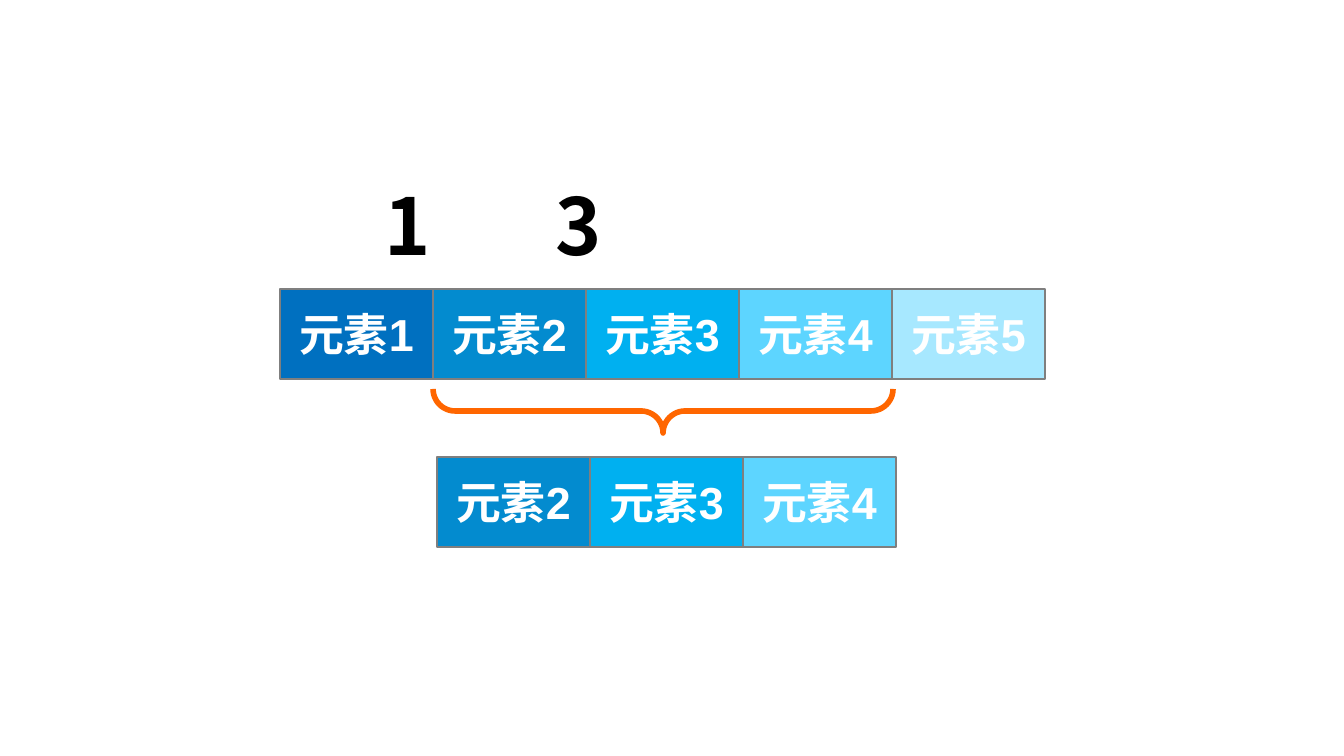
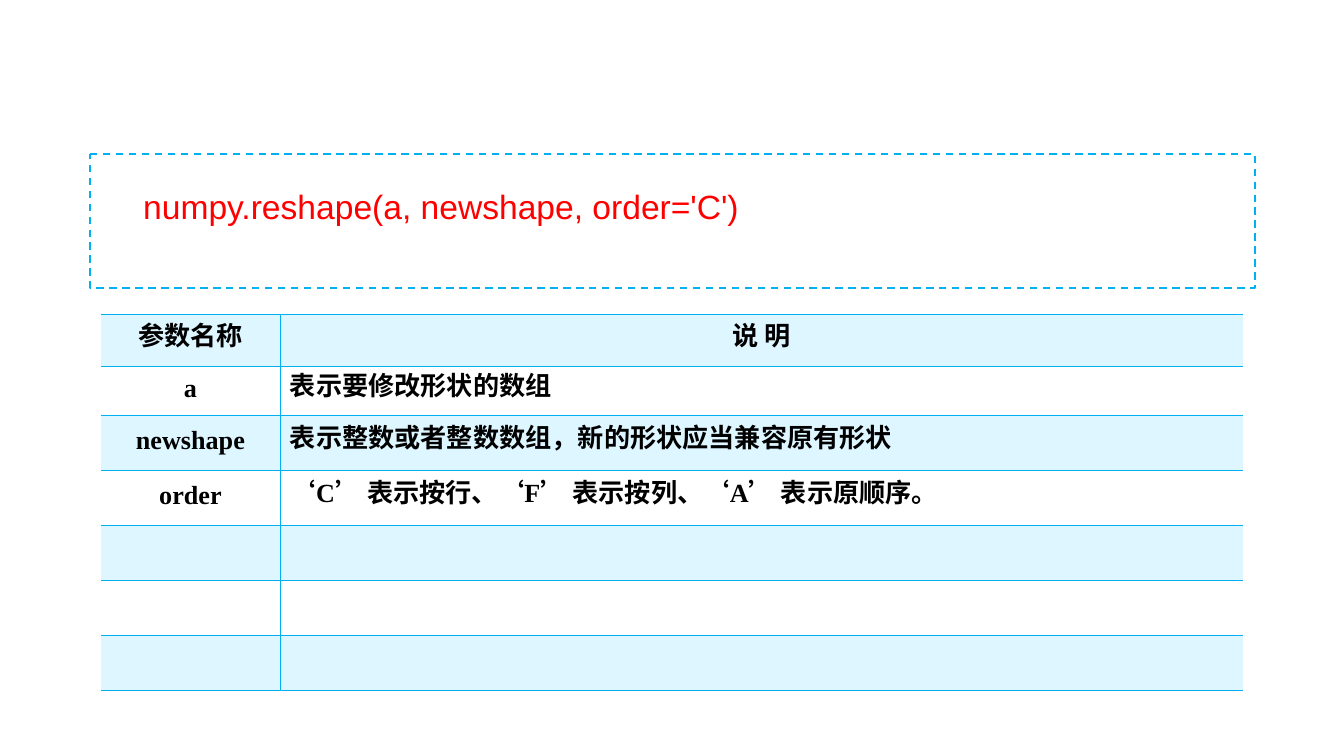
import dataclasses

import lxml.etree
import pptx
import pptx.dml.color
import pptx.enum.dml
import pptx.enum.lang
import pptx.enum.shapes
import pptx.enum.text
import pptx.oxml.ns
import pptx.util

EMU_PER_PX = 914400 / 134.4
SHAPE = pptx.enum.shapes.MSO_SHAPE
ALIGN = pptx.enum.text.PP_ALIGN
MIDDLE = pptx.enum.text.MSO_ANCHOR.MIDDLE


@dataclasses.dataclass(frozen=True)
class Theme:
    latin: str = "Arial"
    serif: str = "Times New Roman"
    chinese: str = "Noto Sans CJK SC"
    black: str = "000000"
    white: str = "FFFFFF"
    code: str = "FF0000"
    accent: str = "00B0F0"
    band: str = "5DD5FF"
    outline: str = "7F7F7F"
    brace: str = "FF6600"
    elements: tuple = ("0070C0", "038BCF", "00B0F0", "5DD5FF", "A7E8FF")
    index_size: int = 42
    element_size: int = 24
    code_size: int = 18
    table_size: int = 14
    band_alpha: int = 20
    border: float = 0.23


THEME = Theme()


def px(length):
    return pptx.util.Emu(round(length * EMU_PER_PX))


def box(left, top, width, height):
    return px(left), px(top), px(width), px(height)


def rgb(colour):
    return pptx.dml.color.RGBColor.from_string(colour)


def add_xml(parent, tag, **attributes):
    return lxml.etree.SubElement(parent, pptx.oxml.ns.qn(tag), attributes)


def add_run(paragraph, text, size, colour, latin, bold=False):
    run = paragraph.add_run()
    run.text = text
    font = run.font
    font.size = pptx.util.Pt(size)
    font.bold = bold
    font.name = latin
    font.color.rgb = rgb(colour)
    font.language_id = pptx.enum.lang.MSO_LANGUAGE_ID.SIMPLIFIED_CHINESE
    add_xml(run.font._element, "a:ea", typeface=THEME.chinese)


def add_outline_shape(shapes, kind, bounds, line, width, fill=None):
    shape = shapes.add_shape(kind, *bounds)
    shape.shadow.inherit = False
    if fill:
        shape.fill.solid()
        shape.fill.fore_color.rgb = rgb(fill)
    else:
        shape.fill.background()
    shape.line.color.rgb = rgb(line)
    shape.line.width = pptx.util.Pt(width)
    return shape


def add_text_line(shapes, bounds, line_height):
    """Add a text box with one line of fixed height; return its paragraph."""
    frame = shapes.add_textbox(*bounds).text_frame
    frame.word_wrap = True
    paragraph = frame.paragraphs[0]
    paragraph.line_spacing = pptx.util.Pt(line_height)
    return paragraph


def add_element_row(slide, left, top, numbers):
    width, height = 153, 90
    for column, number in enumerate(numbers):
        shape = add_outline_shape(
            slide.shapes, SHAPE.RECTANGLE,
            box(left + column * width, top, width, height),
            THEME.outline, 1, THEME.elements[number - 1])
        frame = shape.text_frame
        frame.word_wrap = False
        frame.vertical_anchor = MIDDLE
        paragraph = frame.paragraphs[0]
        paragraph.alignment = ALIGN.CENTER
        add_run(paragraph, f"元素{number}", THEME.element_size, THEME.white,
                THEME.latin, bold=True)


def add_slice_indices(slide, indices):
    """Place each index at its own tab stop, given in px."""
    paragraph = add_text_line(slide.shapes, box(304, 164, 716, 107), 54)
    tabs = add_xml(paragraph._p.get_or_add_pPr(), "a:tabLst")
    for index, position in indices.items():
        add_xml(tabs, "a:tab", pos=str(px(position)), algn="l")
        add_run(paragraph, f"\t{index}", THEME.index_size, THEME.black,
                THEME.chinese, bold=True)


def add_brace(slide):
    brace = add_outline_shape(slide.shapes, SHAPE.RIGHT_BRACE,
                              box(641, 181, 44, 460), THEME.brace, 3)
    brace.adjustments[0] = 0.5
    brace.rotation = 90


def add_code_panel(slide, code):
    shapes = slide.shapes.add_group_shape().shapes
    frame = add_outline_shape(shapes, SHAPE.ROUNDED_RECTANGLE,
                              box(90, 154, 1165, 134), THEME.accent, 1)
    frame.adjustments[0] = 0
    frame.line.dash_style = pptx.enum.dml.MSO_LINE.DASH
    paragraph = add_text_line(shapes, box(130, 179, 1097, 54), 22)
    add_run(paragraph, code, THEME.code_size, THEME.code, THEME.latin)


def set_borders(cell, visible):
    """Draw the named sides and clear the others; borders precede the fill."""
    properties = cell._tc.get_or_add_tcPr()
    for position, side in enumerate("LRTB"):
        line = add_xml(properties, f"a:ln{side}",
                       w=str(pptx.util.Pt(THEME.border)))
        if side in visible:
            add_xml(add_xml(line, "a:solidFill"), "a:srgbClr", val=THEME.accent)
        else:
            add_xml(line, "a:noFill")
        properties.insert(position, line)


def fill_cell(cell, banded):
    if not banded:
        cell.fill.background()
        return
    cell.fill.solid()
    cell.fill.fore_color.rgb = rgb(THEME.band)
    colour = cell._tc.tcPr.find(".//" + pptx.oxml.ns.qn("a:srgbClr"))
    add_xml(colour, "a:alpha", val=str(THEME.band_alpha * 1000))


def add_parameter_table(slide, rows):
    widths = (179, 963)
    heights = (52, 49) + (55,) * (len(rows) - 2)
    table = slide.shapes.add_table(
        len(rows), len(widths),
        *box(101, 314, sum(widths), sum(heights))).table
    table.first_row = table.horz_banding = False
    for column, width in zip(table.columns, widths):
        column.width = px(width)
    for row_index, (texts, height) in enumerate(zip(rows, heights)):
        table.rows[row_index].height = px(height)
        for column_index, text in enumerate(texts):
            cell = table.cell(row_index, column_index)
            cell.vertical_anchor = MIDDLE
            cell.margin_left = cell.margin_right = px(10)
            fill_cell(cell, row_index % 2 == 0)
            set_borders(cell, "LTB" if column_index else "RTB")
            paragraph = cell.text_frame.paragraphs[0]
            paragraph.line_spacing = pptx.util.Pt(THEME.table_size)
            centred = row_index == 0 or column_index == 0
            paragraph.alignment = ALIGN.CENTER if centred else ALIGN.LEFT
            if text:
                add_run(paragraph, text, THEME.table_size, THEME.black,
                        THEME.serif, bold=True)


def main():
    presentation = pptx.Presentation()
    presentation.slide_width, presentation.slide_height = px(1344), px(756)
    blank = presentation.slide_layouts[6]

    # Array slicing
    slide = presentation.slides.add_slide(blank)
    add_element_row(slide, 280, 289, range(1, 6))
    add_element_row(slide, 437, 457, range(2, 5))
    add_brace(slide)
    add_slice_indices(slide, {1: 67, 3: 238})

    # Reshape function and its parameters
    slide = presentation.slides.add_slide(blank)
    add_code_panel(slide, "numpy.reshape(a, newshape, order='C')")
    add_parameter_table(slide, [
        ("参数名称", "说 明"),
        ("a", "表示要修改形状的数组"),
        ("newshape", "表示整数或者整数数组，新的形状应当兼容原有形状"),
        ("order", "‘C’ 表示按行、‘F’ 表示按列、‘A’ 表示原顺序。"),
        *[("", "")] * 3,
    ])

    presentation.save("out.pptx")


if __name__ == "__main__":
    main()
